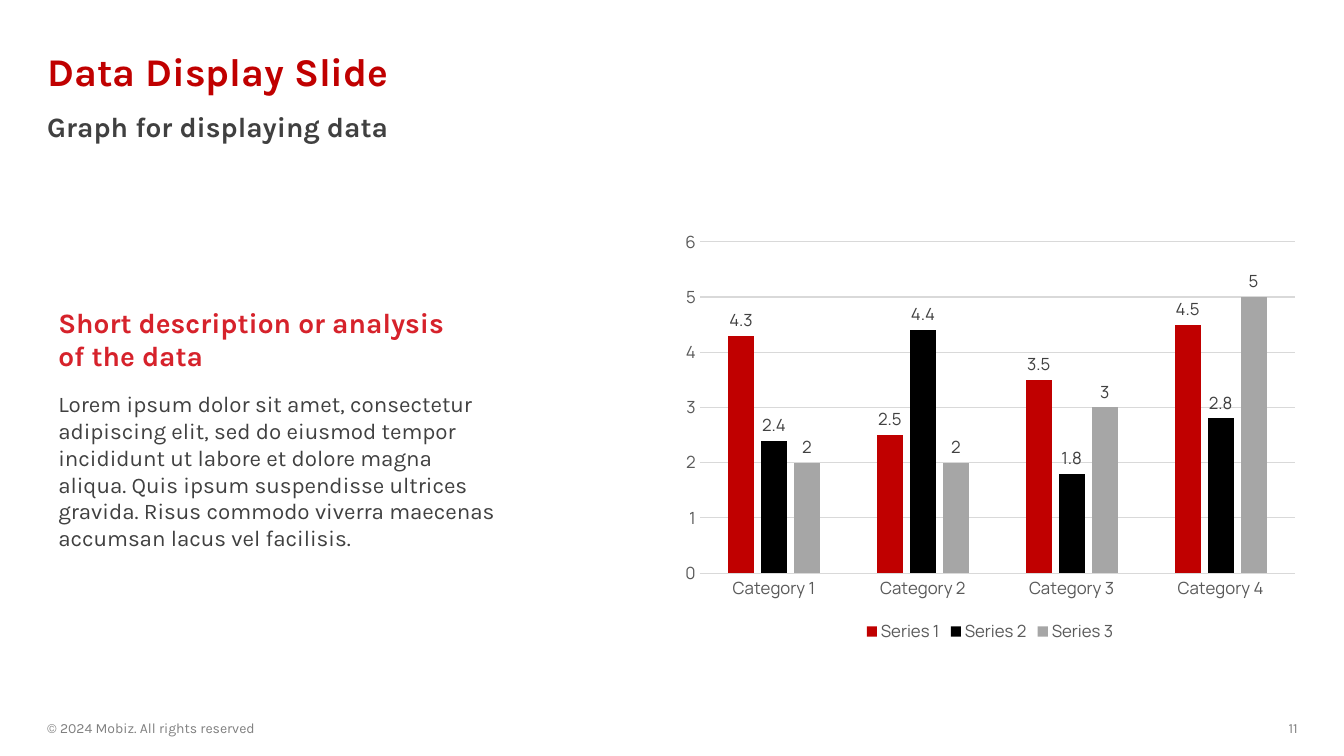
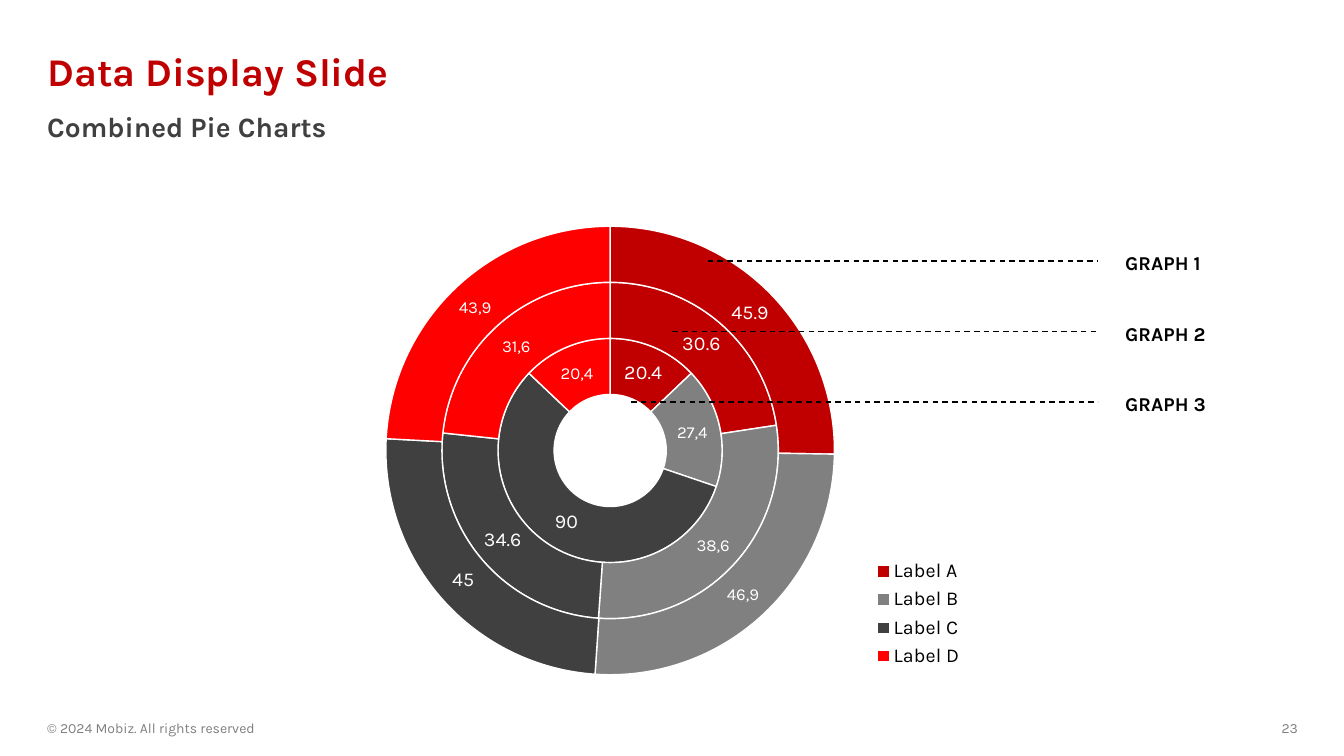
import pptx
import pptx.chart.data
import pptx.dml.color
import pptx.enum.chart
import pptx.enum.dml
import pptx.enum.shapes
import pptx.enum.text
import pptx.oxml
import pptx.oxml.ns
import pptx.util

Inches = pptx.util.Inches
Pt = pptx.util.Pt
RGBColor = pptx.dml.color.RGBColor
qn = pptx.oxml.ns.qn
ANCHOR = pptx.enum.text.MSO_ANCHOR
ALIGN = pptx.enum.text.PP_ALIGN
CHART_TYPE = pptx.enum.chart.XL_CHART_TYPE
LEGEND = pptx.enum.chart.XL_LEGEND_POSITION
LABEL = pptx.enum.chart.XL_LABEL_POSITION
TICK = pptx.enum.chart.XL_TICK_MARK

RED = RGBColor(0xC0, 0x00, 0x00)
HEADING_RED = RGBColor(0xD6, 0x22, 0x2B)
BRIGHT_RED = RGBColor(0xFF, 0x00, 0x00)
BLACK = RGBColor(0x00, 0x00, 0x00)
WHITE = RGBColor(0xFF, 0xFF, 0xFF)
DARK = RGBColor(0x40, 0x40, 0x40)
AXIS_GREY = RGBColor(0x59, 0x59, 0x59)
MID_GREY = RGBColor(0x80, 0x80, 0x80)
LIGHT_GREY = RGBColor(0xA6, 0xA6, 0xA6)
GRID_GREY = RGBColor(0xD9, 0xD9, 0xD9)

TEXT_FONT = "Karla"
CHART_FONT = "Manrope"
MARGIN = 0.37
TITLE = "Data Display Slide"
COPYRIGHT = "© 2024 Mobiz. All rights reserved"

DESCRIPTION_HEADING = "Short description or analysis of the data"
DESCRIPTION = (
    "Lorem ipsum dolor sit amet, consectetur adipiscing elit, sed do eiusmod "
    "tempor incididunt ut labore et dolore magna aliqua. Quis ipsum suspendisse "
    "ultrices gravida. Risus commodo viverra maecenas accumsan lacus vel facilisis."
)
COLUMN_CATEGORIES = ["Category 1", "Category 2", "Category 3", "Category 4"]
COLUMN_SERIES = [
    ("Series 1", (4.3, 2.5, 3.5, 4.5), RED),
    ("Series 2", (2.4, 4.4, 1.8, 2.8), BLACK),
    ("Series 3", (2, 2, 3, 5), LIGHT_GREY),
]

RING_CATEGORIES = ["Label A", "Label B", "Label C", "Label D"]
RING_COLORS = [RED, MID_GREY, DARK, BRIGHT_RED]
RING_SERIES = [
    ("Series 1", (20.4, 27.4, 90, 20.4), {1: "27,4", 3: "20,4"}),
    ("Series 2", (30.6, 38.6, 34.6, 31.6), {1: "38,6", 3: "31,6"}),
    ("Series 3", (45.9, 46.9, 45, 43.9), {1: "46,9", 3: "43,9"}),
]
CALLOUTS = [("GRAPH 1", 7.02), ("GRAPH 2", 6.67), ("GRAPH 3", 6.26)]
CALLOUT_TOP = 2.59
CALLOUT_STEP = 0.7
CALLOUT_END = 10.89


def style_font(font, size, color, name=TEXT_FONT, bold=False):
    font.name = name
    font.size = Pt(size)
    font.bold = bold
    font.color.rgb = color


def add_text(slide, text, box, size, color, bold=False, anchor=ANCHOR.TOP,
             align=ALIGN.LEFT, spacing=None, wrap=True):
    shape = slide.shapes.add_textbox(*map(Inches, box))
    frame = shape.text_frame
    frame.word_wrap = wrap
    frame.vertical_anchor = anchor
    frame.text = text
    paragraph = frame.paragraphs[0]
    paragraph.alignment = align
    paragraph.line_spacing = spacing
    style_font(paragraph.runs[0].font, size, color, bold=bold)
    return shape


def add_page(presentation, subtitle, number):
    slide = presentation.slides.add_slide(presentation.slide_layouts[5])
    title = slide.shapes.title
    title.left, title.top, title.width, title.height = map(
        Inches, (MARGIN, 0.4, 12.6, 0.67))
    frame = title.text_frame
    frame.text = TITLE
    frame.auto_size = pptx.enum.text.MSO_AUTO_SIZE.NONE
    frame.vertical_anchor = ANCHOR.MIDDLE
    paragraph = frame.paragraphs[0]
    paragraph.alignment = ALIGN.LEFT
    paragraph.line_spacing = 0.9
    style_font(paragraph.runs[0].font, 28, RED, bold=True)
    add_text(slide, subtitle, (MARGIN, 1.08, 12.6, 0.47), 20, DARK, True, spacing=0.9)
    add_text(slide, COPYRIGHT, (MARGIN, 7.1, 4.5, 0.25), 10, MID_GREY,
             anchor=ANCHOR.MIDDLE)
    add_text(slide, str(number), (11.75, 7.1, 1.22, 0.25), 10, MID_GREY,
             anchor=ANCHOR.MIDDLE, align=ALIGN.RIGHT)
    return slide


def add_chart(slide, chart_type, box, categories, series_rows, legend_position):
    data = pptx.chart.data.CategoryChartData()
    data.categories = categories
    for name, values, _ in series_rows:
        data.add_series(name, values)
    chart = slide.shapes.add_chart(chart_type, *map(Inches, box), data).chart
    chart.has_title = False
    chart.has_legend = True
    chart.legend.position = legend_position
    chart.legend.include_in_layout = False
    return chart


def set_layout(element, index, x, y, width, height, inner=False):
    for old_layout in element.findall(qn("c:layout")):
        element.remove(old_layout)
    target = '<c:layoutTarget val="inner"/>' if inner else ""
    numbers = "".join(
        f'<c:{tag} val="{value}"/>'
        for tag, value in (("x", x), ("y", y), ("w", width), ("h", height)))
    element.insert(index, pptx.oxml.parse_xml(
        f'<c:layout {pptx.oxml.ns.nsdecls("c")}><c:manualLayout>{target}'
        f'<c:xMode val="edge"/><c:yMode val="edge"/>{numbers}'
        '</c:manualLayout></c:layout>'))


def style_line(line, color, width):
    line.color.rgb = color
    line.width = Pt(width)


def build_column_slide(presentation):
    slide = add_page(presentation, "Graph for displaying data", 11)
    chart = add_chart(slide, CHART_TYPE.COLUMN_CLUSTERED, (6.67, 2.2, 6.3, 4.22),
                      COLUMN_CATEGORIES, COLUMN_SERIES, LEGEND.BOTTOM)
    style_font(chart.font, 10, BLACK, CHART_FONT)
    style_font(chart.legend.font, 12, AXIS_GREY, CHART_FONT)
    for axis in (chart.category_axis, chart.value_axis):
        axis.major_tick_mark = TICK.NONE
        axis.minor_tick_mark = TICK.NONE
        style_font(axis.tick_labels.font, 12, AXIS_GREY, CHART_FONT)
    style_line(chart.category_axis.format.line, GRID_GREY, 0.75)
    value_axis = chart.value_axis
    value_axis.minimum_scale = 0
    value_axis.maximum_scale = 6
    value_axis.major_unit = 1
    value_axis.format.line.fill.background()
    style_line(value_axis.major_gridlines.format.line, GRID_GREY, 0.75)

    plot = chart.plots[0]
    plot.gap_width = 219
    plot.overlap = -27
    plot.vary_by_categories = False
    for series, (_, _, color) in zip(plot.series, COLUMN_SERIES):
        series.format.fill.solid()
        series.format.fill.fore_color.rgb = color
        labels = series.data_labels
        labels.show_value = True
        labels.position = LABEL.OUTSIDE_END
        style_font(labels.font, 12, DARK, CHART_FONT)

    add_text(slide, DESCRIPTION, (0.48, 3.82, 4.57, 1.72), 16, DARK)
    add_text(slide, DESCRIPTION_HEADING, (0.48, 2.98, 4.15, 0.77), 20,
             HEADING_RED, True)


def add_callout(slide, text, start, y):
    label = add_text(slide, text, (11.08, y - 0.1, 1, 0.24), 14, BLACK, True, wrap=False)
    frame = label.text_frame
    frame.margin_left = frame.margin_right = Inches(0.08)
    frame.margin_top = frame.margin_bottom = 0
    connector = slide.shapes.add_connector(
        pptx.enum.shapes.MSO_CONNECTOR.STRAIGHT,
        *map(Inches, (start, y, CALLOUT_END, y)))
    style_line(connector.line, BLACK, 1)
    connector.line.dash_style = pptx.enum.dml.MSO_LINE.DASH
    connector._element.spPr.append(pptx.oxml.parse_xml(
        f'<a:effectLst {pptx.oxml.ns.nsdecls("a")}/>'))


def build_ring_slide(presentation):
    slide = add_page(presentation, "Combined Pie Charts", 23)
    chart = add_chart(slide, CHART_TYPE.DOUGHNUT, (3.58, 2.22, 6.18, 4.5),
                      RING_CATEGORIES, RING_SERIES, LEGEND.RIGHT)
    style_font(chart.font, 14, BLACK)
    style_font(chart.legend.font, 14, BLACK)
    plot = chart.plots[0]
    plot.vary_by_categories = True
    plot_area = chart._chartSpace.chart.plotArea
    set_layout(plot_area, 0, 0.04, 0, 0.72, 1, inner=True)
    set_layout(chart.legend._element, 1, 0.82, 0.73, 0.15, 0.26)
    plot_area.find(".//" + qn("c:holeSize")).set("val", "10")

    for series, (_, _, custom_labels) in zip(plot.series, RING_SERIES):
        labels = series.data_labels
        labels.show_value = True
        labels.show_percentage = False
        style_font(labels.font, 14, WHITE)
        for index, color in enumerate(RING_COLORS):
            point = series.points[index]
            point.format.fill.solid()
            point.format.fill.fore_color.rgb = color
            style_line(point.format.line, WHITE, 1)
            if index in custom_labels:
                frame = point.data_label.text_frame
                frame.text = custom_labels[index]
                style_font(frame.paragraphs[0].runs[0].font, 12, WHITE)

    for index, (text, start) in enumerate(CALLOUTS):
        add_callout(slide, text, start, CALLOUT_TOP + index * CALLOUT_STEP)


def main():
    presentation = pptx.Presentation()
    presentation.slide_width = Inches(13.33)
    presentation.slide_height = Inches(7.5)
    build_column_slide(presentation)
    build_ring_slide(presentation)
    presentation.save("out.pptx")


if __name__ == "__main__":
    main()
